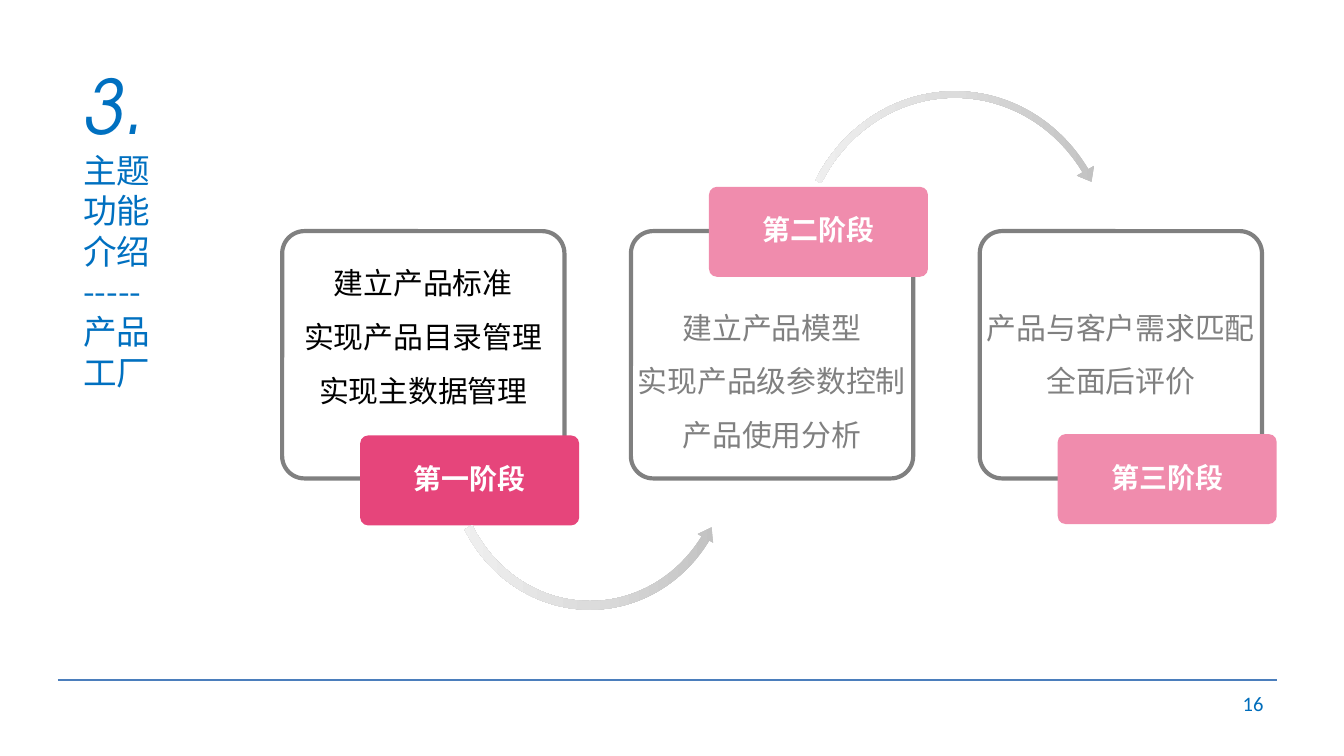
from copy import deepcopy

from lxml.etree import SubElement
from pptx import Presentation
from pptx.dml.color import RGBColor
from pptx.enum.shapes import MSO_CONNECTOR, MSO_SHAPE
from pptx.enum.text import MSO_ANCHOR, PP_ALIGN
from pptx.oxml.ns import qn
from pptx.util import Inches, Pt

BLUE = RGBColor(0x00, 0x70, 0xC0)
NUMBER_BLUE = RGBColor(0x00, 0x6D, 0xBB)
RULE_BLUE = RGBColor(0x4B, 0x7E, 0xBC)
BLACK = RGBColor(0, 0, 0)
WHITE = RGBColor(0xFF, 0xFF, 0xFF)
GRAY = RGBColor(0x80, 0x80, 0x80)
PINK = RGBColor(0xE6, 0x45, 0x7B)
PALE_PINK = RGBColor(0xF0, 0x8C, 0xAD)
ARROW_GRAYS = (
    RGBColor(0xBE, 0xBE, 0xBE),
    RGBColor(0xDC, 0xDC, 0xDC),
    RGBColor(0xF3, 0xF3, 0xF3),
)
CJK = "Noto Sans CJK SC"

CARD_LEFT, CARD_TOP, CARD_WIDTH, CARD_HEIGHT = 2.1, 1.72, 2.1, 1.84
LAST_CARD_LEFT = 7.29
TAG_OFFSET, TAG_WIDTH, TAG_HEIGHT = 0.58, 1.63, 0.67
CORNER = 0.09

STAGES = [
    ("第一阶段", ["建立产品标准", "实现产品目录管理", "实现主数据管理"], BLACK, PINK, 3.24, 0.07),
    ("第二阶段", ["建立产品模型", "实现产品级参数控制", "产品使用分析"], GRAY, PALE_PINK, 1.39, 0.4),
    ("第三阶段", ["产品与客户需求匹配", "全面后评价"], GRAY, PALE_PINK, 3.23, 0.4),
]
ARROWS = [
    (MSO_SHAPE.LEFT_CIRCULAR_ARROW, (3.3, 2.25, 2.18, 2.32), (0.03, 3.09, 20.85, 90.25, 0.03)),
    (MSO_SHAPE.CIRCULAR_ARROW, (5.88, 0.63, 2.45, 2.6), (0.02, 2.74, 195.51, 125.76, 0.03)),
]


def inches(box):
    return [Inches(length) for length in box]


def style_runs(paragraph, font_name, size, color, bold=False, italic=False):
    for run in paragraph.runs:
        font = run.font
        font.name, font.size = font_name, Pt(size)
        font.bold, font.italic = bold, italic
        font.color.rgb = color
        SubElement(run._r.get_or_add_rPr(), qn("a:ea")).set("typeface", font_name)


def add_preset(slide, preset, box, adjustments):
    shape = slide.shapes.add_shape(preset, *inches(box))
    shape.shadow.inherit = False
    for index, value in enumerate(adjustments):
        shape.adjustments[index] = value
    return shape


def clear_insets(frame):
    frame.margin_left = frame.margin_right = 0
    frame.margin_top = frame.margin_bottom = 0


def add_title(slide, box):
    frame = slide.shapes.add_textbox(*inches(box)).text_frame
    frame.word_wrap = True
    frame.text = "3.\n主题\v功能\v介绍\v-----\v产品\v工厂"
    number, topic = frame.paragraphs
    style_runs(number, "TeX Gyre Adventor", 40, BLUE, italic=True)
    style_runs(topic, CJK, 18, BLUE)
    number.line_spacing = Pt(48)
    topic.line_spacing = Pt(21.6)


def add_footer(slide, box):
    left, top, width, height = box
    rule = slide.shapes.add_connector(
        MSO_CONNECTOR.STRAIGHT, *inches((left, top, left + width, top))
    )
    rule.line.color.rgb = RULE_BLUE
    rule.line.width = Pt(0.75)
    SubElement(rule._element.spPr, qn("a:effectLst"))
    number_width = 2.33
    frame = slide.shapes.add_textbox(
        *inches((left + width - number_width, top + 0.02, number_width, height))
    ).text_frame
    frame.word_wrap = True
    frame.vertical_anchor = MSO_ANCHOR.MIDDLE
    frame.text = "16"
    frame.paragraphs[0].alignment = PP_ALIGN.RIGHT
    style_runs(frame.paragraphs[0], "Calibri", 11, NUMBER_BLUE)


def add_card(slide, box, goals, color, inset):
    card = add_preset(slide, MSO_SHAPE.ROUNDED_RECTANGLE, box, [CORNER])
    card.fill.background()
    card.line.color.rgb = GRAY
    card.line.width = Pt(2.25)
    frame = card.text_frame
    clear_insets(frame)
    frame.margin_top = Inches(inset)
    frame.vertical_anchor = MSO_ANCHOR.TOP
    frame.word_wrap = False
    frame.text = "\n".join(goals)
    for paragraph in frame.paragraphs:
        paragraph.alignment = PP_ALIGN.CENTER
        paragraph.line_spacing = Pt(28.8)
        style_runs(paragraph, CJK, 16, color)


def add_tag(slide, box, label, color):
    tag = add_preset(slide, MSO_SHAPE.ROUNDED_RECTANGLE, box, [CORNER])
    tag.fill.solid()
    tag.fill.fore_color.rgb = color
    tag.line.fill.background()
    frame = tag.text_frame
    clear_insets(frame)
    frame.vertical_anchor = MSO_ANCHOR.MIDDLE
    frame.text = label
    paragraph = frame.paragraphs[0]
    paragraph.alignment = PP_ALIGN.CENTER
    paragraph.line_spacing = 0.9
    style_runs(paragraph, CJK, 15, WHITE, bold=True)


def add_arrow(slide, preset, box, adjustments):
    arrow = add_preset(slide, preset, box, adjustments)
    arrow.line.fill.background()
    arrow.fill.gradient()
    arrow.fill.gradient_angle = 180
    stops = arrow._element.spPr.find(".//" + qn("a:gsLst"))
    stops.append(deepcopy(stops[0]))
    for index, (stop, color) in enumerate(zip(arrow.fill.gradient_stops, ARROW_GRAYS)):
        stop.position = index / 2
        stop.color.rgb = color


def add_stages(slide, box):
    left, top, width, height = box
    pitch = (LAST_CARD_LEFT - left) / (len(STAGES) - 1)
    for index, (label, goals, text_color, tag_color, tag_top, inset) in enumerate(STAGES):
        card_left = left + index * pitch
        add_card(slide, (card_left, top, width, height), goals, text_color, inset)
        tag_box = (card_left + TAG_OFFSET, tag_top, TAG_WIDTH, TAG_HEIGHT)
        add_tag(slide, tag_box, label, tag_color)
    for preset, arrow_box, adjustments in ARROWS:
        add_arrow(slide, preset, arrow_box, adjustments)


def main():
    deck = Presentation()
    deck.slide_width = Inches(10)
    deck.slide_height = deck.slide_width * 9 // 16
    slide = deck.slides.add_slide(deck.slide_layouts[6])
    add_footer(slide, (0.43, 5.06, 9.07, 0.3))
    add_title(slide, (0.52, 0.4, 0.99, 2.2))
    add_stages(slide, (CARD_LEFT, CARD_TOP, CARD_WIDTH, CARD_HEIGHT))
    deck.save("out.pptx")


if __name__ == "__main__":
    main()
